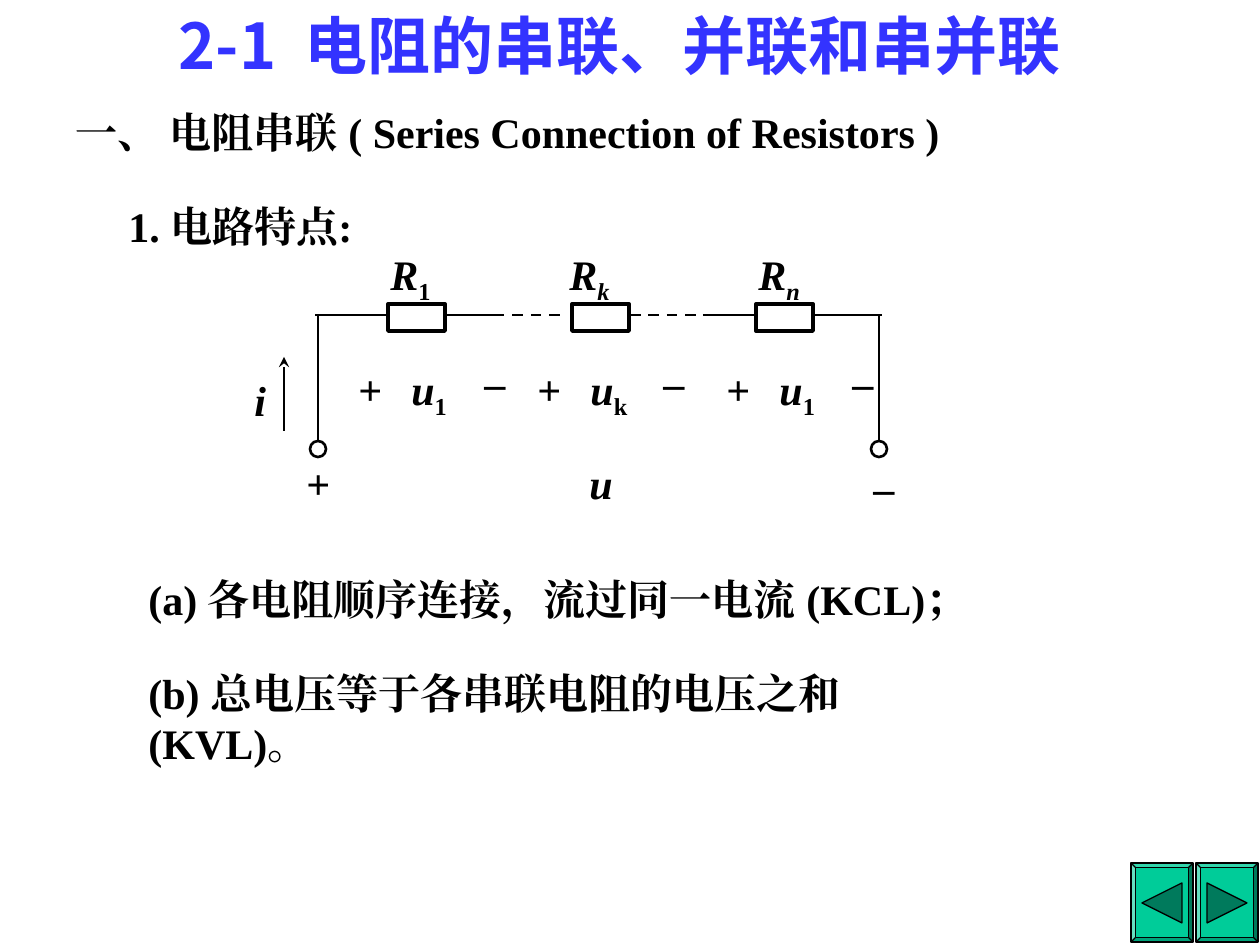
from dataclasses import dataclass

from lxml import etree
from pptx import Presentation
from pptx.dml.color import RGBColor
from pptx.enum.dml import MSO_LINE
from pptx.enum.shapes import MSO_CONNECTOR, MSO_SHAPE
from pptx.enum.text import MSO_ANCHOR, MSO_AUTO_SIZE, PP_ALIGN
from pptx.oxml.ns import qn
from pptx.util import Emu, Pt

STRAIGHT = MSO_CONNECTOR.STRAIGHT
RECT, OVAL, BEVEL = MSO_SHAPE.RECTANGLE, MSO_SHAPE.OVAL, MSO_SHAPE.BEVEL
DASH = MSO_LINE.DASH
TOP, LEFT = MSO_ANCHOR.TOP, PP_ALIGN.LEFT
GROW = MSO_AUTO_SIZE.SHAPE_TO_FIT_TEXT
SCALE = 914400 / 126


@dataclass(frozen=True)
class Theme:
    """Colours, fonts and sizes of the slide."""
    ink: str = "000000"
    title: str = "3333FF"
    paper: str = "FFFFFF"
    button: str = "00CC99"
    arrow: str = "007A5C"
    body_font: str = "Times New Roman"
    title_font: str = "Noto Sans CJK SC"
    body_size: int = 24
    title_size: int = 36


THEME = Theme()


def px(n):
    """Turn pixels into EMU."""
    return Emu(round(n * SCALE))


def rgb(value):
    """Turn a hex string into a colour."""
    return RGBColor.from_string(value)


def add_run(p, text, font=THEME.body_font, size=THEME.body_size, color=THEME.ink,
            italic=False, sub=False):
    """Add one bold run to a paragraph."""
    r = p.add_run()
    r.text = text
    r.font.name, r.font.size = font, Pt(size)
    r.font.bold, r.font.italic = True, italic
    r.font.color.rgb = rgb(color)
    rPr = r._r.get_or_add_rPr()
    etree.SubElement(rPr, qn("a:ea")).set("typeface", font)
    if sub:
        rPr.set("baseline", "-25000")


def add_text(s, text, x, y, w, h=63, italic=False, sub="", sub_italic=False):
    """Add a text box with an optional subscript."""
    tf = s.shapes.add_textbox(px(x), px(y), px(w), px(h)).text_frame
    tf.word_wrap, tf.auto_size = True, GROW
    p = tf.paragraphs[0]
    add_run(p, text, italic=italic)
    if sub:
        add_run(p, sub, italic=sub_italic, sub=True)


def add_title(s, text):
    """Place and format the title."""
    sp = s.shapes.title
    sp.left, sp.top, sp.width, sp.height = px(166), px(0), px(954), px(88)
    tf = sp.text_frame
    tf.word_wrap, tf.auto_size, tf.vertical_anchor = False, GROW, TOP
    p = tf.paragraphs[0]
    p.alignment = LEFT
    add_run(p, text, font=THEME.title_font, size=THEME.title_size, color=THEME.title)


def paint(sp, fill, width):
    """Give a shape its fill and outline."""
    sp.shadow.inherit = False
    if fill:
        sp.fill.solid()
        sp.fill.fore_color.rgb = rgb(fill)
    else:
        sp.fill.background()
    sp.line.color.rgb, sp.line.width = rgb(THEME.ink), Pt(width)


def add_box(s, kind, x, y, w, h, fill=None, width=1.5):
    """Add a preset shape."""
    sp = s.shapes.add_shape(kind, px(x), px(y), px(w), px(h))
    paint(sp, fill, width)
    return sp


def add_wire(s, x1, y1, x2, y2, dash=None, arrow=False):
    """Add a straight wire or arrow."""
    c = s.shapes.add_connector(STRAIGHT, px(x1), px(y1), px(x2), px(y2))
    c.line.color.rgb, c.line.width = rgb(THEME.ink), Pt(1.5)
    if dash:
        c.line.dash_style = dash
    if arrow:
        etree.SubElement(c.line._get_or_add_ln(), qn("a:tailEnd")).set("type", "stealth")
    etree.SubElement(c._element.spPr, qn("a:effectLst"))
    return c


def add_button(s, x, tip, base):
    """Add a bevelled button with a triangle from base to tip."""
    sp = add_box(s, BEVEL, x, 863, 62, 79, THEME.button, 0.75)
    sp.adjustments[0] = 0.07
    fb = s.shapes.build_freeform(x + tip, 903, scale=SCALE)
    fb.add_line_segments([(x + base, 883), (x + base, 923)], close=True)
    paint(fb.convert_to_shape(), THEME.arrow, 0.75)


def add_resistor(s, x, label_x, name, name_italic, drop):
    """Add a resistor with its name and voltage labels."""
    add_box(s, RECT, x, 304, 57, 27, THEME.paper, 2.25)
    add_text(s, "R", label_x + 32, 242, 84, 71, True, name, name_italic)
    add_text(s, "+", label_x, 357, 42)
    add_text(s, "u", label_x + 53, 357, 84, 71, True, drop)
    add_text(s, "_", label_x + 126, 336, 42)


def add_circuit(s):
    """Draw the series circuit."""
    for x1, x2, dash in ((315, 388, None), (445, 498, None), (494, 567, DASH),
                         (630, 703, DASH), (703, 756, None), (813, 882, None)):
        add_wire(s, x1, 315, x2, 315, dash)
    resistors = ((346, "1", False, "1"), (525, "k", True, "k"), (714, "n", True, "1"))
    for i, labels in enumerate(resistors):
        add_resistor(s, 388 + 184 * i, *labels)
    for x in (318, 879):
        terminal = add_box(s, OVAL, x - 8, 441, 16, 16)
        add_wire(s, x, 315, x, 441).end_connect(terminal, 0)
    add_wire(s, 284, 431, 284, 357, arrow=True)
    add_text(s, "i", 242, 368, 42, italic=True)
    add_text(s, "+", 294, 451, 42)
    add_text(s, "u", 577, 451, 71, italic=True)
    add_text(s, "_", 861, 441, 42)


def main():
    """Build and save the slide."""
    prs = Presentation()
    prs.slide_width, prs.slide_height = px(1260), px(945)
    s = prs.slides.add_slide(prs.slide_layouts[5])
    add_title(s, "2-1  电阻的串联、并联和串并联")
    add_text(s, "一、 电阻串联 ( Series Connection of Resistors )", 63, 100, 1018)
    add_text(s, "1. 电路特点:", 116, 194, 284)
    add_circuit(s)
    add_text(s, "(a) 各电阻顺序连接，流过同一电流 (KCL)；", 136, 567, 861)
    add_text(s, "(b) 总电压等于各串联电阻的电压之和 (KVL)。", 136, 661, 861, 113)
    add_button(s, 1131, tip=11, base=51)
    add_button(s, 1196, tip=51, base=11)
    prs.save("out.pptx")


if __name__ == "__main__":
    main()
